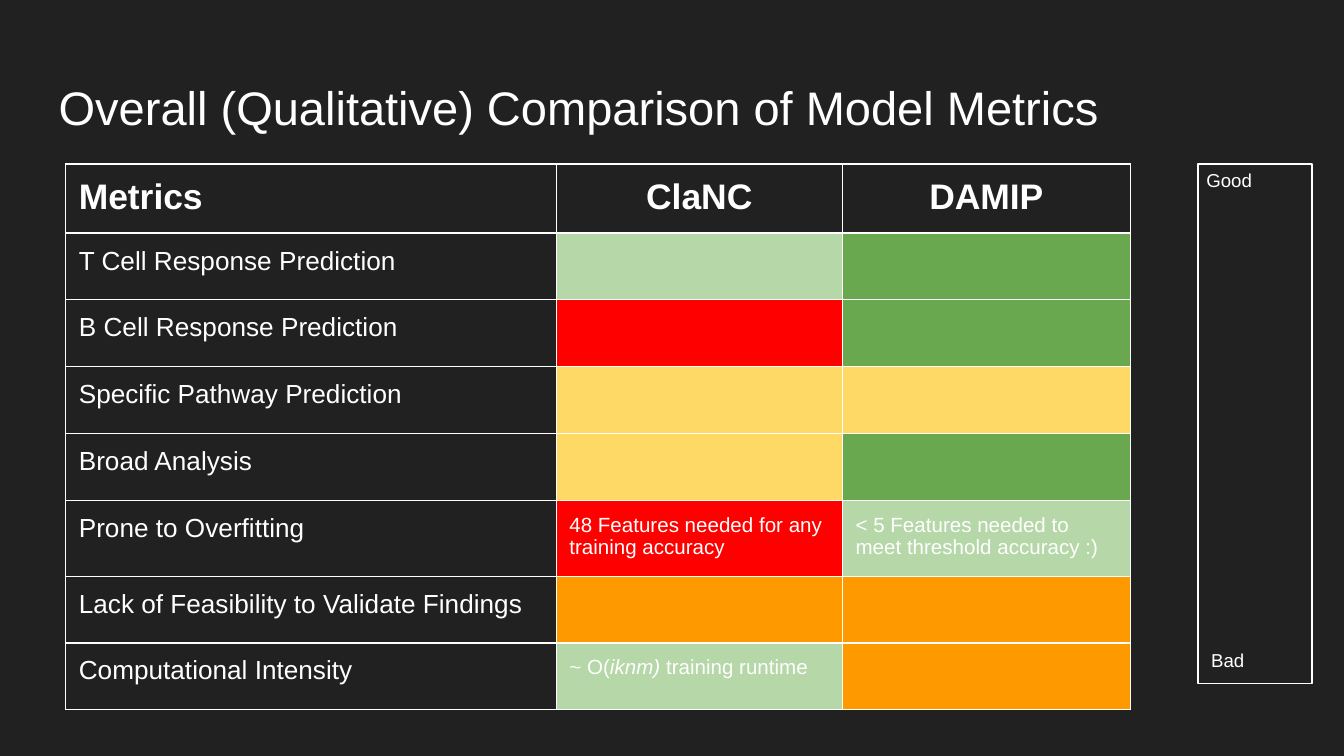
from dataclasses import dataclass

from lxml.etree import SubElement
from pptx import Presentation
from pptx.dml.color import RGBColor
from pptx.enum.shapes import MSO_SHAPE
from pptx.enum.text import PP_ALIGN
from pptx.oxml.ns import qn
from pptx.util import Cm, Pt


@dataclass(frozen=True)
class Theme:
    font: str = "Arial"
    background: str = "212121"
    ink: str = "FFFFFF"
    good: str = "6AA84F"
    fair: str = "B6D7A8"
    medium: str = "FFD966"
    weak: str = "FF9900"
    bad: str = "FF0000"
    title_size: float = 25.2
    header_size: float = 19
    metric_size: float = 14
    note_size: float = 11
    legend_size: float = 10
    line_width: float = 0.75
    margin: float = 0.25


class SlideBuilder:
    def __init__(self, slide, theme):
        self.slide = slide
        self.theme = theme
        fill = slide.background.fill
        fill.solid()
        fill.fore_color.rgb = RGBColor.from_string(theme.background)

    def add_runs(self, paragraph, runs, size, align=PP_ALIGN.LEFT, bold=False):
        """Fill a paragraph from (text, italic) pairs."""
        paragraph.alignment = align
        for text, italic in runs:
            run = paragraph.add_run()
            run.text = text
            style = {"name": self.theme.font, "size": Pt(size),
                     "bold": bold, "italic": italic}
            for name, value in style.items():
                setattr(run.font, name, value)
            run.font.color.rgb = RGBColor.from_string(self.theme.ink)

    def set_margins(self, target):
        for side in ("left", "top", "right", "bottom"):
            setattr(target, f"margin_{side}", Cm(self.theme.margin))

    def text(self, text, box, size):
        shape = self.slide.shapes.add_textbox(*map(Cm, box))
        frame = shape.text_frame
        frame.word_wrap = True
        self.set_margins(frame)
        self.add_runs(frame.paragraphs[0], [(text, False)], size)

    def frame(self, box):
        shape = self.slide.shapes.add_shape(MSO_SHAPE.RECTANGLE, *map(Cm, box))
        shape.shadow.inherit = False
        shape.fill.background()
        shape.line.color.rgb = RGBColor.from_string(self.theme.ink)
        shape.line.width = Pt(self.theme.line_width)

    def paint_cell(self, cell, color):
        """Draw all four borders, then the fill."""
        properties = cell._tc.get_or_add_tcPr()
        for side in ("lnL", "lnR", "lnT", "lnB"):
            border = SubElement(properties, qn(f"a:{side}"),
                                w=str(Pt(self.theme.line_width)))
            solid = SubElement(border, qn("a:solidFill"))
            SubElement(solid, qn("a:srgbClr"), val=self.theme.ink)
        if color:
            cell.fill.solid()
            cell.fill.fore_color.rgb = RGBColor.from_string(color)
        else:
            cell.fill.background()

    def table(self, left, top, widths, heights, headers, ratings, notes):
        box = (left, top, sum(widths), sum(heights))
        table = self.slide.shapes.add_table(
            len(heights), len(widths), *map(Cm, box)).table
        table.first_row = table.horz_banding = False
        for column, width in zip(table.columns, widths):
            column.width = Cm(width)
        for row, height in zip(table.rows, heights):
            row.height = Cm(height)

        # Header row
        for index, header in enumerate(headers):
            cell = table.cell(0, index)
            align = PP_ALIGN.CENTER if index else PP_ALIGN.LEFT
            self.add_runs(cell.text_frame.paragraphs[0], [(header, False)],
                          self.theme.header_size, align, bold=True)
            self.paint_cell(cell, None)

        # Metric names, ratings and notes
        for row, (metric, *colors) in enumerate(ratings, start=1):
            name_cell = table.cell(row, 0)
            self.add_runs(name_cell.text_frame.paragraphs[0],
                          [(metric, False)], self.theme.metric_size)
            for column, color in enumerate([None, *colors]):
                cell = table.cell(row, column)
                self.paint_cell(cell, color)
                if (row, column) in notes:
                    self.add_runs(cell.text_frame.paragraphs[0],
                                  notes[row, column], self.theme.note_size)

        for cell in table.iter_cells():
            self.set_margins(cell)


def main():
    theme = Theme()
    presentation = Presentation()
    presentation.slide_width = Cm(25.4)
    presentation.slide_height = Cm(14.29)
    slide = presentation.slides.add_slide(presentation.slide_layouts[6])
    builder = SlideBuilder(slide, theme)

    # Title
    builder.text("Overall (Qualitative) Comparison of Model Metrics",
                 (0.86, 1.24, 23.67, 1.6), theme.title_size)

    # Comparison table
    ratings = [
        ("T Cell Response Prediction", theme.fair, theme.good),
        ("B Cell Response Prediction", theme.bad, theme.good),
        ("Specific Pathway Prediction", theme.medium, theme.medium),
        ("Broad Analysis", theme.medium, theme.good),
        ("Prone to Overfitting", theme.bad, theme.fair),
        ("Lack of Feasibility to Validate Findings", theme.weak, theme.weak),
        ("Computational Intensity", theme.fair, theme.weak),
    ]
    notes = {
        (5, 1): [("48 Features needed for any training accuracy", False)],
        (5, 2): [("< 5 Features needed to meet threshold accuracy :)", False)],
        (7, 1): [("~ O(", False), ("iknm) ", True),
                 ("training runtime", False)],
    }
    heights = [1.25] + [1.22] * 4 + [1.36] + [1.22] * 2
    builder.table(1.24, 3.1, (9.27, 5.41, 5.44), heights,
                  ("Metrics", "ClaNC", "DAMIP"), ratings, notes)

    # Legend
    builder.text("Bad", (22.64, 12.06, 1.32, 0.94), theme.legend_size)
    builder.text("Good", (22.55, 2.98, 1.5, 0.94), theme.legend_size)
    builder.frame((22.64, 3.1, 2.16, 9.82))

    presentation.save("out.pptx")


if __name__ == "__main__":
    main()
